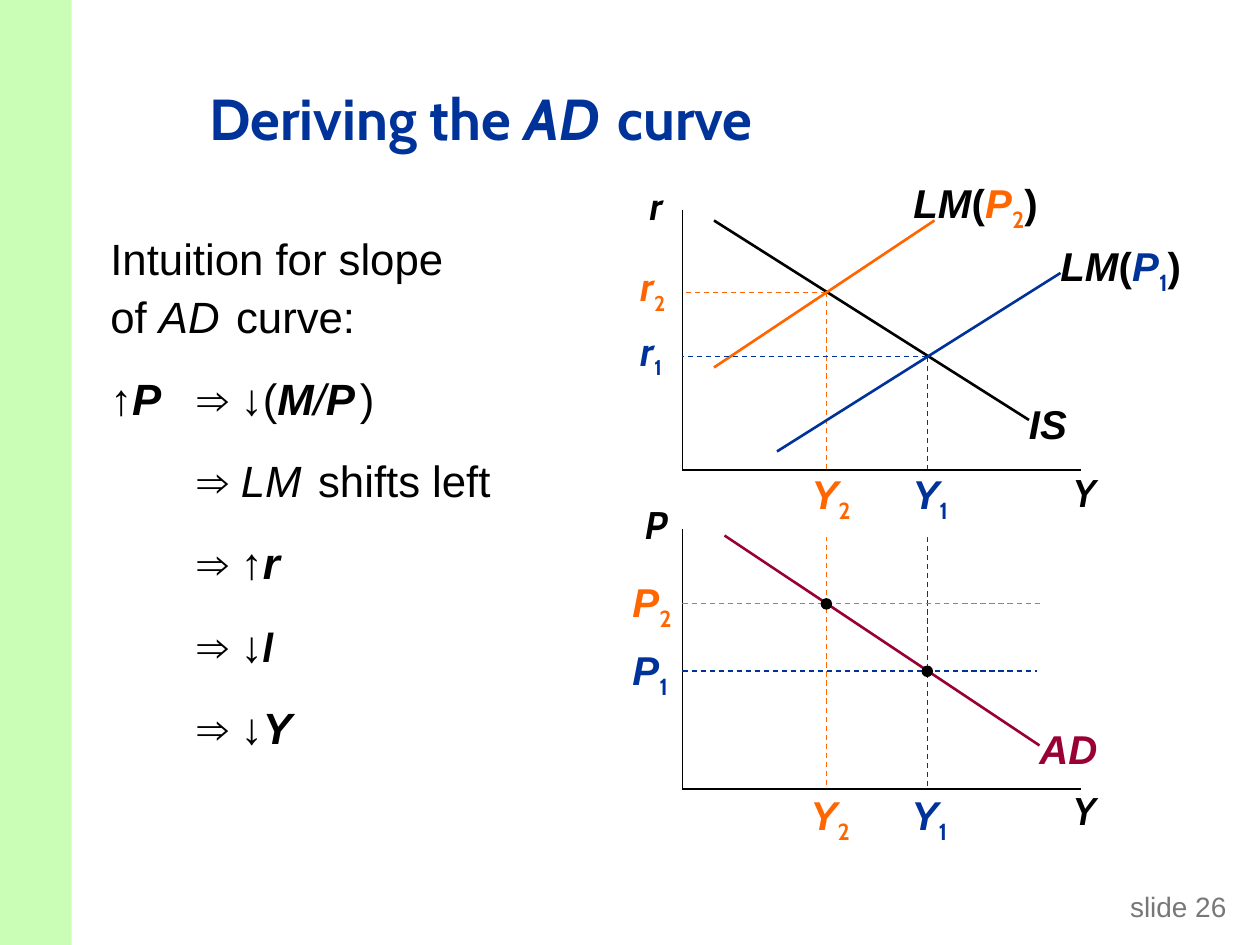
"""Build the slide that derives the AD curve from the IS-LM diagram."""
from lxml.etree import SubElement
from pptx import Presentation
from pptx.dml.color import RGBColor
from pptx.enum.dml import MSO_LINE_DASH_STYLE as DASH
from pptx.enum.shapes import MSO_CONNECTOR as CONNECTOR, MSO_SHAPE as SHAPE
from pptx.enum.text import MSO_ANCHOR as ANCHOR, MSO_AUTO_SIZE as AUTO_SIZE, PP_ALIGN as ALIGN
from pptx.oxml.ns import qn
from pptx.util import Pt

COLORS = {
    "black": "000000", "white": "FFFFFF", "blue": "003399", "orange": "FF6600",
    "red": "990033", "green": "CAFDB5", "gray": "777777",
}
STRONG = {"bold": True, "italic": True}
ITALIC = {"italic": True}


def add_run(paragraph, text, size=23, font="Arial", color="black", bold=False,
            italic=False, subscript=False):
    """Append one formatted run, or a line break for a newline."""
    if text == "\n":
        paragraph.add_line_break()
        return
    run = paragraph.add_run()
    run.text = text
    run.font.size = Pt(size)
    run.font.name = font
    run.font.bold = bold
    run.font.italic = italic
    run.font.color.rgb = RGBColor.from_string(COLORS[color])
    if subscript:
        run.font._element.set("baseline", "-25000")


def symbol(letter, index, color, font="Arial", index_size=23):
    """Return the runs of a variable with its subscript."""
    return [
        (letter, {"font": font, "color": color, **STRONG}),
        (index, {"font": "Cabin", "size": index_size, "color": color, "bold": True,
                 "subscript": True}),
    ]


def money_curve(index, color):
    """Return the runs of an LM curve's name."""
    return [("LM", STRONG), ("(", {"bold": True}), *symbol("P", index, color),
            (")", {"bold": True})]


class SlideBuilder:
    """Hold the slide and draw each kind of element on it."""

    def __init__(self, slide):
        """Keep the slide to draw on."""
        self.slide = slide

    def fill_text(self, shape, paragraphs, insets=(0, 0, 0, 0), align=ALIGN.LEFT,
                  anchor=ANCHOR.TOP, spacing=None, before=0):
        """Write paragraphs of runs into a shape."""
        frame = shape.text_frame
        frame.word_wrap = True
        frame.auto_size = AUTO_SIZE.NONE
        frame.vertical_anchor = anchor
        (frame.margin_left, frame.margin_top,
         frame.margin_right, frame.margin_bottom) = map(Pt, insets)
        for number, runs in enumerate(paragraphs):
            paragraph = frame.add_paragraph() if number else frame.paragraphs[0]
            paragraph.alignment = align
            paragraph.space_before = Pt(before)
            if spacing:
                paragraph.line_spacing = spacing
            for text, style in runs:
                add_run(paragraph, text, **style)

    def title(self, runs, left, top, width, height):
        """Place and fill the title placeholder."""
        shape = self.slide.shapes.title
        shape.left, shape.top, shape.width, shape.height = map(Pt, (left, top, width, height))
        self.fill_text(shape, [runs], anchor=ANCHOR.MIDDLE, spacing=1.05)

    def shape(self, kind, left, top, width, height, color, outline=None):
        """Add a flat preset shape."""
        shape = self.slide.shapes.add_shape(kind, *map(Pt, (left, top, width, height)))
        shape.shadow.inherit = False
        shape.fill.solid()
        shape.fill.fore_color.rgb = RGBColor.from_string(COLORS[color])
        if outline:
            shape.line.color.rgb = RGBColor.from_string(COLORS[outline])
            shape.line.width = Pt(0.75)
        else:
            shape.line.fill.background()
        return shape

    def label(self, runs, left, top, width=30, height=32, **layout):
        """Add a one-paragraph text box."""
        box = self.slide.shapes.add_textbox(*map(Pt, (left, top, width, height)))
        self.fill_text(box, [runs], **layout)

    def line(self, start, end, color="black", width=1.5, dash=None):
        """Add a straight line between two points."""
        connector = self.slide.shapes.add_connector(CONNECTOR.STRAIGHT, *map(Pt, start + end))
        connector.line.color.rgb = RGBColor.from_string(COLORS[color])
        connector.line.width = Pt(width)
        if dash:
            connector.line.dash_style = dash
        SubElement(connector._element.spPr, qn("a:effectLst"))

    def guide(self, start, end, color):
        """Add a thin dashed guide line."""
        self.line(start, end, color, 0.75, DASH.DASH)

    def axes(self, name, top, left=390, right=618, height=148.5):
        """Add a pair of axes with their names."""
        bottom = top + height
        insets = (7.2, 3.6, 7.2, 3.6)
        style = {"size": 22, "font": "Cabin", **STRONG}
        self.line((left, top), (left, bottom), width=1)
        self.line((left, bottom), (right, bottom), width=1)
        self.label([("Y", style)], right - 12, bottom - 4.3, 42, 34, insets=insets)
        self.label([(name, style)], left - 30, top - 19.4, 30, 34, insets=insets,
                   align=ALIGN.CENTER)

    def body(self, paragraphs, left, top, width, height, tab):
        """Add the half-transparent text panel with one tab stop."""
        panel = self.shape(SHAPE.RECTANGLE, left, top, width, height, "white")
        color = panel._element.spPr.find(qn("a:solidFill"))[0]
        SubElement(color, qn("a:alpha"), val="50000")
        self.fill_text(panel, paragraphs, insets=(7.2, 3.6, 7.2, 3.6), spacing=1.1, before=14)
        for paragraph in panel.text_frame.paragraphs:
            tabs = SubElement(paragraph._p.get_or_add_pPr(), qn("a:tabLst"))
            SubElement(tabs, qn("a:tab"), pos=str(Pt(tab)), algn="l")


def main():
    """Build and save the presentation."""
    presentation = Presentation()
    presentation.slide_width, presentation.slide_height = Pt(720), Pt(540)
    builder = SlideBuilder(presentation.slides.add_slide(presentation.slide_layouts[5]))

    builder.shape(SHAPE.RECTANGLE, 0, 0, 41, 540, "green")
    builder.label([("slide 26", {"size": 16, "color": "gray"})], 645.8, 508.3, 68, 23)
    heading = {"size": 33, "font": "Cabin", "color": "blue", "bold": True}
    builder.title([("Deriving the ", heading), ("AD", {**heading, **ITALIC}),
                   (" ", {**heading, **ITALIC, "size": 11}), (" curve", heading)],
                  119.5, 18.7, 566.6, 94.3)

    axis_left, axis_bottom = 390, 450.7
    equilibria = [
        ("1", "blue", 530, 203.8, 383.5, 592.5),
        ("2", "orange", 472.3, 167, 345, 594),
    ]
    for index, color, output, rate, price, price_end in equilibria:
        builder.guide((output, rate), (output, axis_bottom), color)
    for index, color, output, rate, price, price_end in equilibria:
        mask = builder.shape(SHAPE.RECTANGLE, output - 8.5, 268, 30, 39, "white")
        builder.fill_text(mask, [symbol("Y", index, color)])

    builder.axes("r", 120)
    builder.axes("P", 302.2)
    builder.line((408, 126), (588, 240))
    builder.label([("IS", STRONG)], 588, 228, 24, 27.4)
    builder.label(money_curve("1", "blue"), 606, 138, 78)
    builder.line((444, 258), (606, 156), "blue")
    builder.label(money_curve("2", "orange"), 522, 102, 78)
    builder.line((408, 210), (534, 126), "orange")
    builder.line((414, 306), (594, 426), "red")
    builder.label([("AD", {"color": "red", **STRONG})], 594, 414, 36, 27.4)

    for index, color, output, rate, price, price_end in equilibria:
        builder.guide((axis_left, price), (price_end, price), color)
        builder.label(symbol("P", index, color), 361.4, price - 15, height=39)
        builder.label(symbol("Y", index, color), output - 9, 451.4)
        builder.guide((output, rate), (axis_left, rate), color)
        builder.label(symbol("r", index, color, "Cabin", 21), 366, rate - 17.5)
        builder.shape(SHAPE.OVAL, output - 3, price - 2.8, 5.8, 5.8, "black", "black")

    plain = {"size": 25}
    italic = {**plain, **ITALIC}
    strong = {**plain, **STRONG}
    builder.body([
        [("Intuition for slope ", plain), ("\n", plain), ("of ", plain), ("AD", italic),
         (" ", {"size": 9}), (" curve:", plain)],
        [("↑", plain), ("P  \t", strong), ("⇒ ↓(", plain), ("M", strong), ("/", italic),
         ("P", strong), (" ", {**STRONG, "size": 10}), (")", plain)],
        [("\t⇒ ", plain), ("LM", italic), (" ", {"size": 9}), (" shifts left", plain)],
        [("\t⇒ ↑", plain), ("r", strong)],
        [("\t⇒ ↓", plain), ("I", {**STRONG, "size": 24, "font": "Cabin"})],
        [("\t⇒ ↓", plain), ("Y", strong)],
    ], 56, 126, 258, 318, tab=49.7)
    presentation.save("out.pptx")


if __name__ == "__main__":
    main()
